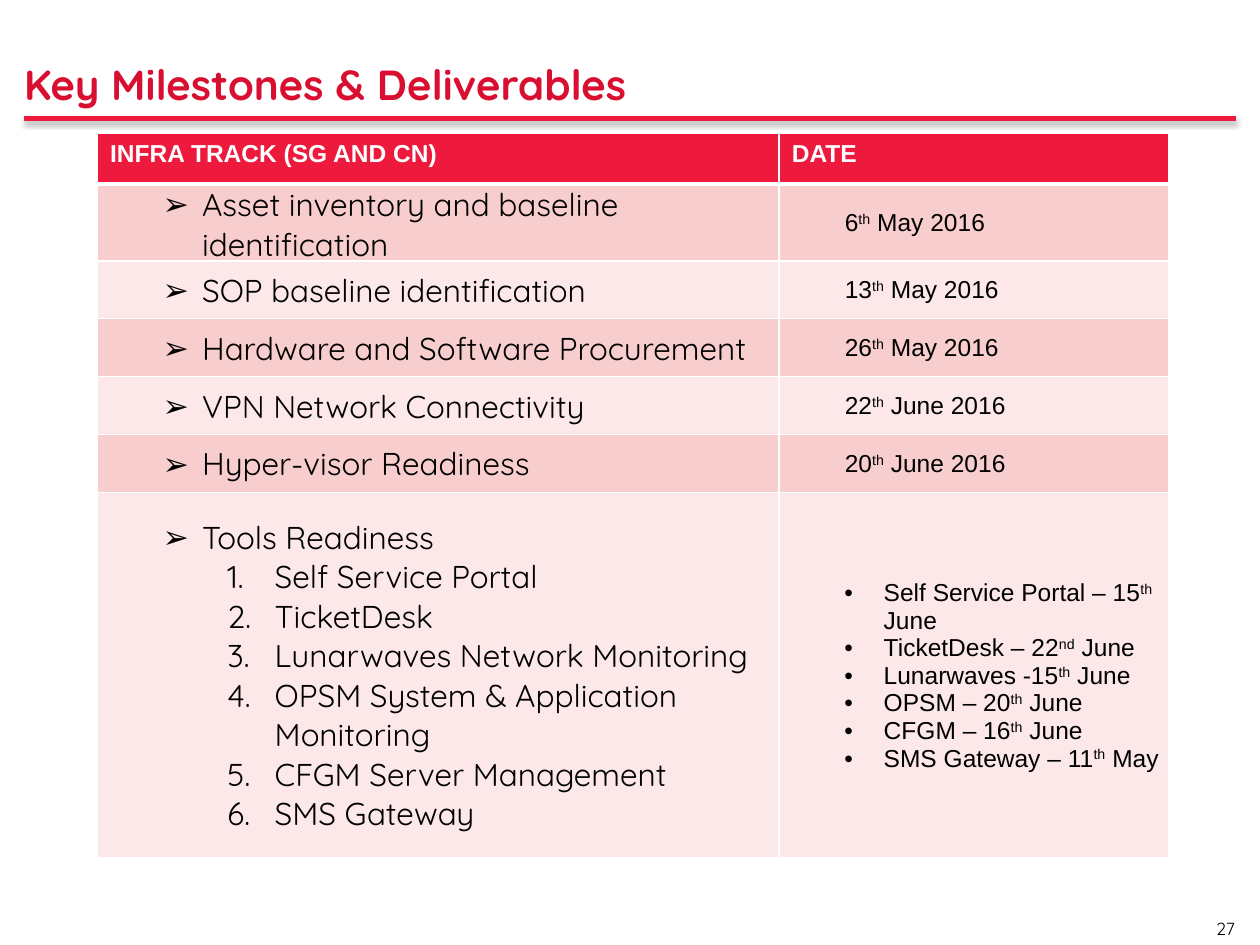
from lxml import etree
from pptx import Presentation
from pptx.dml.color import RGBColor
from pptx.enum import shapes, text
from pptx.oxml import ns
from pptx.util import Pt

COLORS = {"title": "D90F32", "accent": "ED1A3D", "dark_band": "F8CDCE",
          "light_band": "FCE8E8", "white": "FFFFFF", "black": "000000"}
HEADING_FONT, DATE_FONT = "Quicksand", "Arial"
INCH = 72

HEADERS = ["INFRA TRACK (SG AND CN)", "DATE"]
# Dates are split into text, ordinal ending, text
MILESTONES = [
    ("Asset inventory and baseline identification", ("6", "th", " May 2016")),
    ("SOP baseline identification", ("13", "th", " May 2016")),
    ("Hardware and Software Procurement", ("26", "th", " May 2016")),
    ("VPN Network Connectivity", ("22", "th", " June 2016")),
    ("Hyper-visor Readiness", ("20", "th", " June 2016")),
]
TOOLS = ["Self Service Portal", "TicketDesk", "Lunarwaves Network Monitoring",
         "OPSM System & Application Monitoring", "CFGM Server Management", "SMS Gateway"]
TOOL_DATES = [
    ("Self Service Portal – 15", "th", " June"),
    ("TicketDesk – 22", "nd", " June"),
    ("Lunarwaves -15", "th", " June"),
    ("OPSM – 20", "th", " June"),
    ("CFGM – 16", "th", " June"),
    ("SMS Gateway – 11", "th", " May"),
]


def rgb(name):
    return RGBColor.from_string(COLORS[name])


def add_xml(parent, tag, **attributes):
    return etree.SubElement(parent, ns.qn(tag), attributes)


def add_span(para, words, font, size, color="black", bold=False, raised=False):
    span = para.add_run()
    span.text = words
    span.font.name, span.font.size, span.font.bold = font, Pt(size), bold
    span.font.color.rgb = rgb(color)
    if raised:
        span.font._element.set("baseline", "30000")


def clear_insets(frame):
    frame.margin_left = frame.margin_top = frame.margin_right = frame.margin_bottom = 0


def set_list_style(para, level, left, hanging, bullet=None, numbered=False):
    para.level = level
    properties = para._p.get_or_add_pPr()
    properties.set("marL", str(Pt(left)))
    properties.set("indent", str(Pt(-hanging)))
    if numbered:
        add_xml(properties, "a:buFont", typeface="+mj-lt")
        add_xml(properties, "a:buAutoNum", type="arabicPeriod")
    elif bullet:
        add_xml(properties, "a:buFont", typeface="Arial")
        add_xml(properties, "a:buChar", char=bullet)
    else:
        add_xml(properties, "a:buNone")


def style_cell(cell, fill, top=1, bottom=1):
    properties = cell._tc.get_or_add_tcPr()
    for side, width in (("L", 1), ("R", 1), ("T", top), ("B", bottom)):
        border = add_xml(properties, f"a:ln{side}", w=str(Pt(width)))
        add_xml(add_xml(border, "a:solidFill"), "a:srgbClr", val=COLORS["white"])
    cell.fill.solid()
    cell.fill.fore_color.rgb = rgb(fill)


def style_body_cell(cell, fill, top):
    style_cell(cell, fill, top)
    cell.vertical_anchor = text.MSO_ANCHOR.MIDDLE
    cell.margin_left = cell.margin_top = cell.margin_right = Pt(0.75)
    cell.margin_bottom = 0


def add_date(para, date, bullet=None):
    if bullet:
        set_list_style(para, 1, 59, 22.5, bullet)
    else:
        set_list_style(para, 1, 36.75, 0)
    for words, raised in zip(date, (False, True, False)):
        add_span(para, words, DATE_FONT, 14, raised=raised)


def add_milestone(para, name):
    set_list_style(para, 1, 59, 22.5, "➢")
    add_span(para, name, HEADING_FONT, 18)


def add_heading(page, left, top, width, height):
    title = page.shapes.title
    title.left, title.top, title.width, title.height = map(Pt, (left, top, width, height))
    frame = title.text_frame
    clear_insets(frame)
    frame.word_wrap = True
    frame.vertical_anchor = text.MSO_ANCHOR.MIDDLE
    para = frame.paragraphs[0]
    para.alignment = text.PP_ALIGN.LEFT
    add_span(para, "Key Milestones & Deliverables", HEADING_FONT, 24, "title", True)


def add_rule(page, left, top, width):
    rule = page.shapes.add_connector(shapes.MSO_CONNECTOR.STRAIGHT,
                                     Pt(left), Pt(top), Pt(left + width), Pt(top))
    rule.line.color.rgb = rgb("accent")
    rule.line.width = Pt(3)
    effects = add_xml(rule._element.spPr, "a:effectLst")
    shadow = add_xml(effects, "a:outerShdw", blurRad=str(Pt(3.1)), dist=str(Pt(1.8)),
                     dir="5400000", rotWithShape="0")
    add_xml(add_xml(shadow, "a:srgbClr", val=COLORS["black"]), "a:alpha", val="35000")


def add_milestone_table(page, left, top, width, height):
    count = len(MILESTONES) + 2
    table = page.shapes.add_table(count, 2, Pt(left), Pt(top), Pt(width), Pt(height)).table
    table.horz_banding = False
    table.columns[0].width = Pt(5.41 * INCH)
    table.columns[1].width = Pt(width - 5.41 * INCH)
    row_heights = [0.4] + [0.46] * len(MILESTONES) + [2.9]
    for row, row_height in zip(table.rows, row_heights):
        row.height = Pt(row_height * INCH)

    # Header row
    for column, heading in enumerate(HEADERS):
        cell = table.cell(0, column)
        style_cell(cell, "accent", bottom=3)
        add_span(cell.text_frame.paragraphs[0], heading, DATE_FONT, 14, "white", True)

    # Banded body rows
    for row in range(1, count):
        for column in range(2):
            style_body_cell(table.cell(row, column), "dark_band" if row % 2 else "light_band",
                            top=3 if row == 1 else 1)
    for row, (name, date) in enumerate(MILESTONES, 1):
        add_milestone(table.cell(row, 0).text_frame.paragraphs[0], name)
        add_date(table.cell(row, 1).text_frame.paragraphs[0], date)

    # Tools row
    tools = table.cell(count - 1, 0).text_frame
    add_milestone(tools.paragraphs[0], "Tools Readiness")
    for tool in TOOLS:
        para = tools.add_paragraph()
        set_list_style(para, 2, 100.5, 27, numbered=True)
        add_span(para, tool, HEADING_FONT, 18)
    dates = table.cell(count - 1, 1).text_frame
    for index, date in enumerate(TOOL_DATES):
        para = dates.add_paragraph() if index else dates.paragraphs[0]
        add_date(para, date, "•")


def add_page_number(page, left, top, width, height):
    box = page.shapes.add_textbox(Pt(left), Pt(top), Pt(width), Pt(height))
    frame = box.text_frame
    clear_insets(frame)
    frame.word_wrap = False
    frame.vertical_anchor = text.MSO_ANCHOR.BOTTOM
    para = frame.paragraphs[0]
    para.alignment = text.PP_ALIGN.RIGHT
    add_span(para, "27", HEADING_FONT, 10)


def main():
    deck = Presentation()
    deck.slide_width, deck.slide_height = Pt(720), Pt(540)
    page = deck.slides.add_slide(deck.slide_layouts[5])
    add_page_number(page, 693.5, 524, 12.25, 12.5)
    add_rule(page, 13.75, 67.75, 692.5)
    add_heading(page, 13.75, 33.25, 684, 29)
    add_milestone_table(page, 55.75, 76.25, 612, 414)
    deck.save("out.pptx")


if __name__ == "__main__":
    main()
